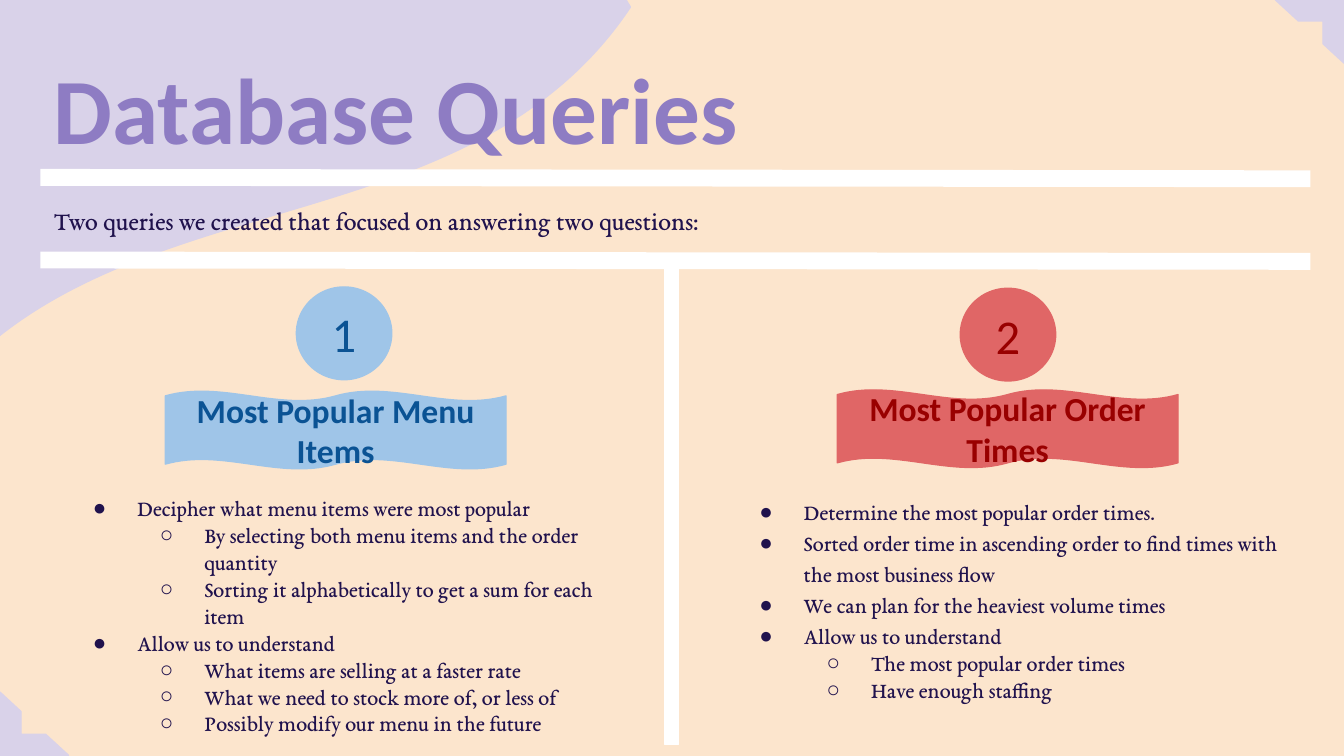
"""Build the database queries slide with two themed columns."""
from dataclasses import dataclass

from lxml import etree
from pptx import Presentation
from pptx.dml.color import RGBColor
from pptx.enum.shapes import MSO_CONNECTOR, MSO_SHAPE
from pptx.enum.text import MSO_ANCHOR, MSO_AUTO_SIZE, PP_ALIGN
from pptx.oxml.ns import qn
from pptx.util import Emu, Pt

STRAIGHT = MSO_CONNECTOR.STRAIGHT
RECTANGLE, OVAL = MSO_SHAPE.RECTANGLE, MSO_SHAPE.OVAL
WAVE, DOUBLE_WAVE = MSO_SHAPE.WAVE, MSO_SHAPE.DOUBLE_WAVE
HALF_FRAME = MSO_SHAPE.HALF_FRAME
TOP, MIDDLE = MSO_ANCHOR.TOP, MSO_ANCHOR.MIDDLE
LEFT, CENTER = PP_ALIGN.LEFT, PP_ALIGN.CENTER
FIXED_SIZE = MSO_AUTO_SIZE.NONE

EMU_PER_PX = 4572
SANS, SERIF = "Calibri", "EB Garamond"
PEACH, LAVENDER, WHITE = "FCE5CD", "D9D2E9", "FFFFFF"
PURPLE, INK = "8E7CC3", "20124D"
BULLETS = ("●", "○")


@dataclass(frozen=True)
class Box:
    left: int
    top: int
    width: int
    height: int

    def emu(self) -> list:
        return [px(value) for value in (self.left, self.top, self.width, self.height)]


@dataclass(frozen=True)
class Decoration:
    kind: object
    box: Box
    color: str
    rotation: float = 0
    adjustments: tuple = ()


@dataclass(frozen=True)
class TextStyle:
    size: int
    font: str
    color: str
    bold: bool = False


@dataclass(frozen=True)
class Column:
    number: str
    heading: str
    fill: str
    ink: str
    circle: Box
    banner: Box
    body: Box
    spacing: float
    items: tuple


DECORATIONS = (
    Decoration(WAVE, Box(-302, -72, 1234, 478), LAVENDER, 329.7, (0.125, 0.003)),
    Decoration(RECTANGLE, Box(-12, -4, 868, 92), LAVENDER),
    Decoration(HALF_FRAME, Box(4, 1026, 94, 102), LAVENDER, 270, (0.333, 0.333)),
    Decoration(HALF_FRAME, Box(1902, -4, 94, 102), LAVENDER, 90, (0.333, 0.333)),
)
DIVIDER = Decoration(RECTANGLE, Box(989, 386, 21, 722), WHITE)
RULE_TOPS = (264, 387)
COLUMNS = (
    Column("1", "Most Popular Menu Items", "9FC5E8", "0B5394",
           Box(441, 427, 142, 138), Box(246, 582, 507, 116), Box(84, 716, 856, 404), 1.0, (
               (0, "Decipher what menu items were most popular"),
               (1, "By selecting both menu items and the order quantity"),
               (1, "Sorting it alphabetically to get a sum for each item"),
               (0, "Allow us to understand"),
               (1, "What items are selling at a faster rate"),
               (1, "What we need to stock more of, or less of"),
               (1, "Possibly modify our menu in the future"))),
    Column("2", "Most Popular Order Times", "E06666", "990000",
           Box(1429, 429, 142, 138), Box(1246, 580, 507, 116), Box(1076, 716, 848, 440), 1.15, (
               (0, "Determine the most popular order times."),
               (0, "Sorted order time in ascending order to find times with the most business flow"),
               (0, "We can plan for the heaviest volume times"),
               (0, "Allow us to understand"),
               (1, "The most popular order times"),
               (1, "Have enough staffing"))),
)


def px(value: int) -> Emu:
    return Emu(value * EMU_PER_PX)


def rgb(color: str) -> RGBColor:
    return RGBColor.from_string(color)


def prepare_frame(shape, anchor) -> None:
    frame = shape.text_frame
    frame.word_wrap = True
    frame.auto_size = FIXED_SIZE
    frame.vertical_anchor = anchor
    frame.margin_left = frame.margin_right = px(20)
    frame.margin_top = frame.margin_bottom = px(20)


def format_paragraph(paragraph, style: TextStyle, alignment, spacing: float = 1.0) -> None:
    paragraph.alignment = alignment
    paragraph.line_spacing = spacing
    paragraph.space_before = paragraph.space_after = Pt(0)
    for run in paragraph.runs:
        run.font.size = Pt(style.size)
        run.font.name = style.font
        run.font.bold = style.bold
        run.font.color.rgb = rgb(style.color)


def write_text(shape, text: str, style: TextStyle, alignment=LEFT, anchor=TOP) -> None:
    prepare_frame(shape, anchor)
    shape.text_frame.text = text
    format_paragraph(shape.text_frame.paragraphs[0], style, alignment)


def place(placeholder, box: Box) -> None:
    placeholder.left, placeholder.top, placeholder.width, placeholder.height = box.emu()
    placeholder.element.getparent().append(placeholder.element)


def draw_shape(slide, item: Decoration):
    shape = slide.shapes.add_shape(item.kind, *item.box.emu())
    shape.shadow.inherit = False
    shape.rotation = item.rotation
    for index, value in enumerate(item.adjustments):
        shape.adjustments[index] = value
    shape.fill.solid()
    shape.fill.fore_color.rgb = rgb(item.color)
    shape.line.color.rgb = rgb(item.color)
    shape.line.width = Pt(0.75)
    return shape


def draw_rule(slide, top: int) -> None:
    rule = slide.shapes.add_connector(STRAIGHT, px(60), px(top), px(1950), px(top + 2))
    rule.line.color.rgb = rgb(WHITE)
    rule.line.width = Pt(9)
    etree.SubElement(rule.element.spPr, qn("a:effectLst"))


def add_bullet(paragraph, level: int) -> None:
    paragraph.level = level
    properties = paragraph._p.get_or_add_pPr()
    properties.set("marL", str(px(100 * (level + 1))))
    properties.set("indent", str(px(-66)))
    bullet_color = etree.SubElement(properties, qn("a:buClr"))
    etree.SubElement(bullet_color, qn("a:srgbClr"), val=INK)
    etree.SubElement(properties, qn("a:buChar"), char=BULLETS[level])


def draw_column(slide, column: Column, body) -> None:
    circle = draw_shape(slide, Decoration(OVAL, column.circle, column.fill))
    write_text(circle, column.number, TextStyle(26, SANS, column.ink), CENTER, MIDDLE)
    banner = draw_shape(
        slide, Decoration(DOUBLE_WAVE, column.banner, column.fill, 0, (0.0625, 0)))
    write_text(banner, column.heading, TextStyle(18, SANS, column.ink, True), CENTER, MIDDLE)
    place(body, column.body)
    prepare_frame(body, TOP)
    body.text_frame.text = "\n".join(text for _, text in column.items)
    for paragraph, (level, _) in zip(body.text_frame.paragraphs, column.items):
        add_bullet(paragraph, level)
        format_paragraph(paragraph, TextStyle(12, SERIF, INK), LEFT,
                         1.0 if level else column.spacing)


def main() -> None:
    presentation = Presentation()
    presentation.slide_width, presentation.slide_height = px(2000), px(1125)
    slide = presentation.slides.add_slide(presentation.slide_layouts[3])
    slide.background.fill.solid()
    slide.background.fill.fore_color.rgb = rgb(PEACH)
    title, *bodies = slide.placeholders
    for decoration in DECORATIONS:
        draw_shape(slide, decoration)
    for top in RULE_TOPS:
        draw_rule(slide, top)
    place(title, Box(60, 56, 1470, 208))
    write_text(title, "Database Queries", TextStyle(50, SANS, PURPLE, True))
    subtitle = slide.shapes.add_textbox(*Box(60, 284, 1890, 88).emu())
    write_text(subtitle, "Two queries we created that focused on answering two questions:",
               TextStyle(14, SERIF, INK))
    draw_shape(slide, DIVIDER)
    for column, body in zip(COLUMNS, bodies):
        draw_column(slide, column, body)
    presentation.save("out.pptx")


if __name__ == "__main__":
    main()
